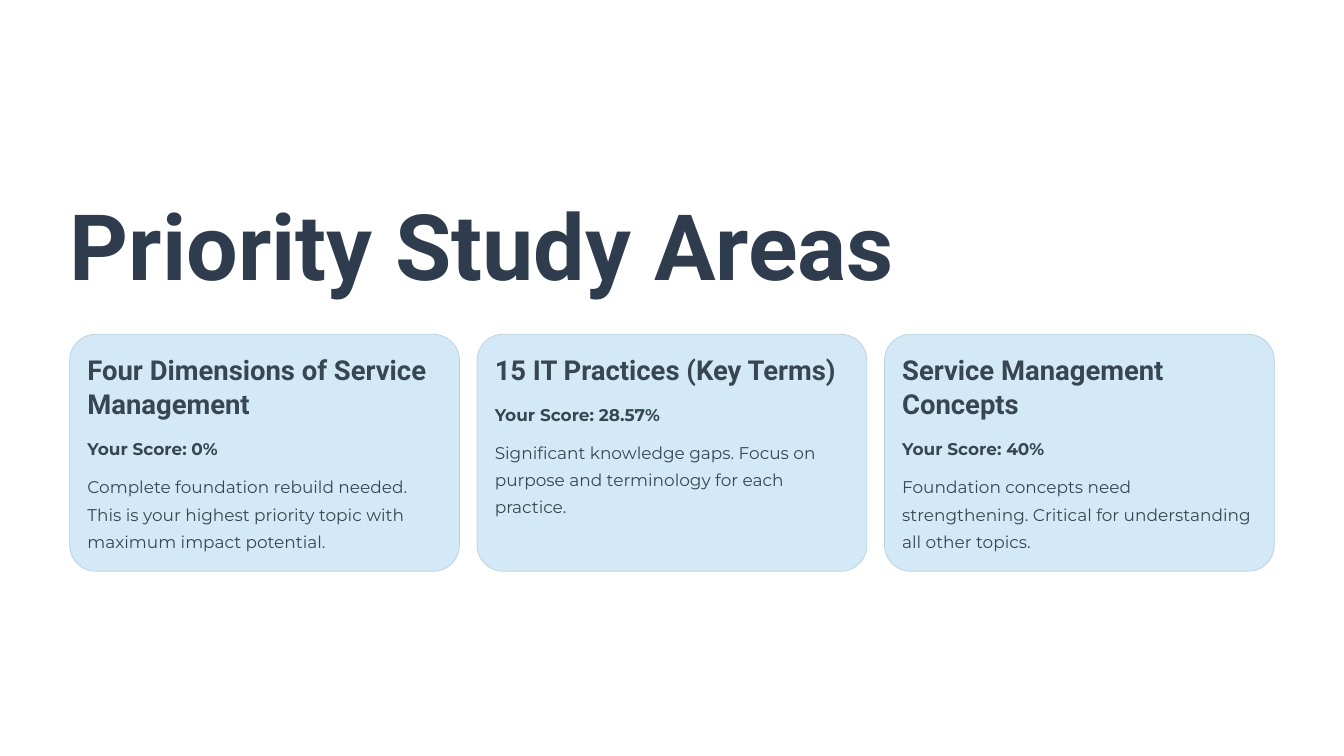
from pptx import Presentation
from pptx.dml.color import RGBColor
from pptx.enum.shapes import MSO_SHAPE as Shape
from pptx.util import Inches, Pt

NAVY = RGBColor(0x2E, 0x3C, 0x4E)
SLATE = RGBColor(0x38, 0x46, 0x53)
SKY = RGBColor(0xD4, 0xE9, 0xF7)
EDGE = RGBColor(0xBA, 0xCF, 0xDD)

TITLE = {"name": "Roboto", "size": Pt(78.5), "bold": True}
HEAD = {"name": "Roboto", "size": Pt(23.5), "bold": True}
SCORE = {"name": "Montserrat", "size": Pt(14.5), "bold": True}
BODY = {"name": "Montserrat", "size": Pt(14.5), "bold": False}

LEFT, TOP = 0.83, 3.98
WIDTH, HEIGHT = 4.64, 2.82
STEP, PAD = 4.85, 0.21
INNER = WIDTH - 2 * PAD
ROW = 0.41

# Heading, lines it takes, score, advice
AREAS = [
    ("Four Dimensions of Service Management", 2, "0%",
     "Complete foundation rebuild needed. This is your highest priority "
     "topic with maximum impact potential."),
    ("15 IT Practices (Key Terms)", 1, "28.57%",
     "Significant knowledge gaps. Focus on purpose and terminology "
     "for each practice."),
    ("Service Management Concepts", 2, "40%",
     "Foundation concepts need strengthening. Critical for understanding "
     "all other topics."),
]


def add_text(slide, text, box, style, lead, color=SLATE, wrap=True):
    """Place text in box (left, top, width, height) with lead points per line."""
    frame = slide.shapes.add_textbox(*map(Inches, box)).text_frame
    margins = dict.fromkeys(
        ("margin_left", "margin_top", "margin_right", "margin_bottom"), 0)
    for key, value in margins.items():
        setattr(frame, key, value)
    frame.word_wrap = wrap
    para = frame.paragraphs[0]
    para.line_spacing = Pt(lead)
    run = para.add_run()
    run.text = text
    for key, value in style.items():
        setattr(run.font, key, value)
    run.font.color.rgb = color


def add_panel(slide, left):
    box = (left, TOP, WIDTH, HEIGHT)
    panel = slide.shapes.add_shape(
        Shape.ROUNDED_RECTANGLE, *map(Inches, box))
    panel.adjustments[0] = 0.11
    panel.shadow.inherit = False
    panel.fill.solid()
    panel.fill.fore_color.rgb = SKY
    panel.line.color.rgb = EDGE
    panel.line.width = Pt(0.6)


def add_card(slide, left, head, lines, score, advice):
    add_panel(slide, left)
    x, y = left + PAD, TOP + PAD
    tall = lines * ROW
    add_text(slide, head, (x, y, INNER, tall), HEAD, 29, wrap=lines > 1)
    y += tall + 0.13
    add_text(slide, f"Your Score: {score}", (x, y, INNER, 0.33),
             SCORE, 23.5, wrap=False)
    add_text(slide, advice, (x, y + 0.45, INNER, 0.99), BODY, 23.5)


def main():
    deck = Presentation()
    deck.slide_width, deck.slide_height = Inches(16), Inches(9)
    slide = deck.slides.add_slide(deck.slide_layouts[6])
    add_text(slide, "Priority Study Areas", (LEFT, 2.2, 10.91, 1.36),
             TITLE, 98, NAVY, wrap=False)
    for i, area in enumerate(AREAS):
        add_card(slide, LEFT + i * STEP, *area)
    deck.save("out.pptx")


if __name__ == "__main__":
    main()
